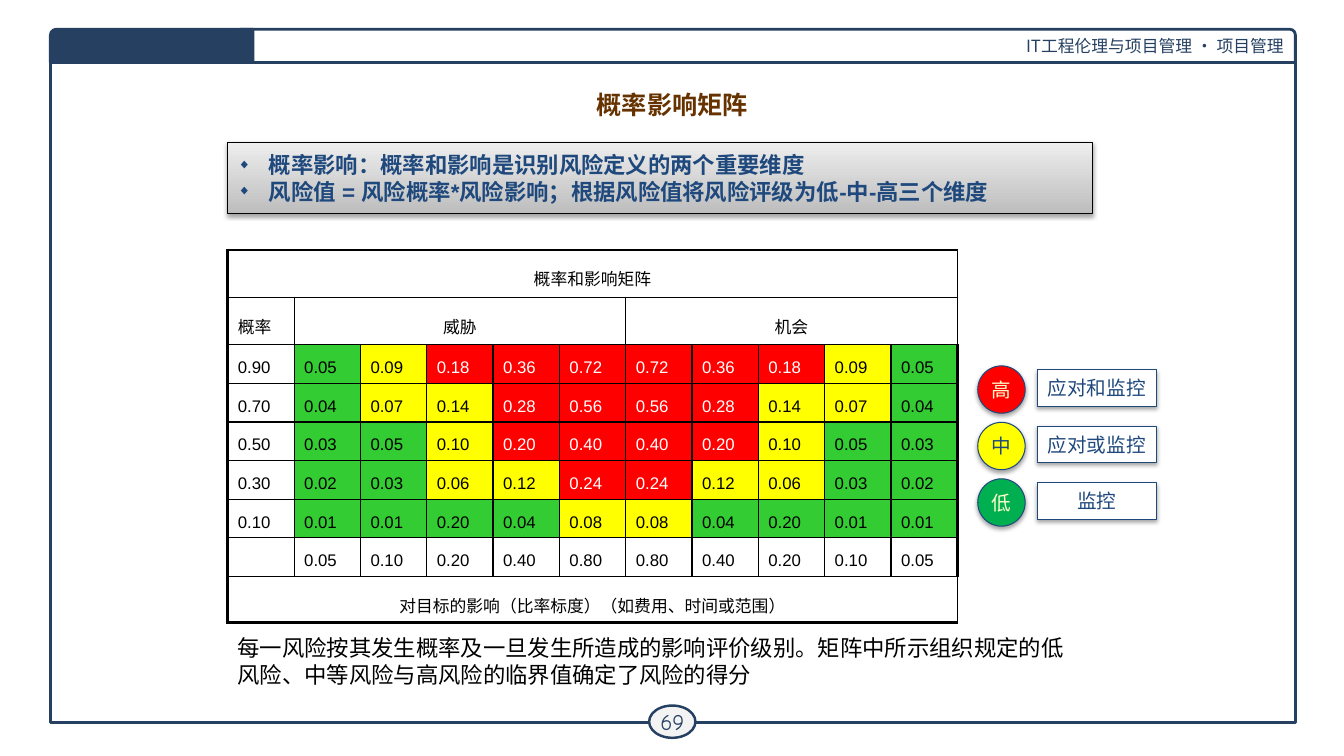
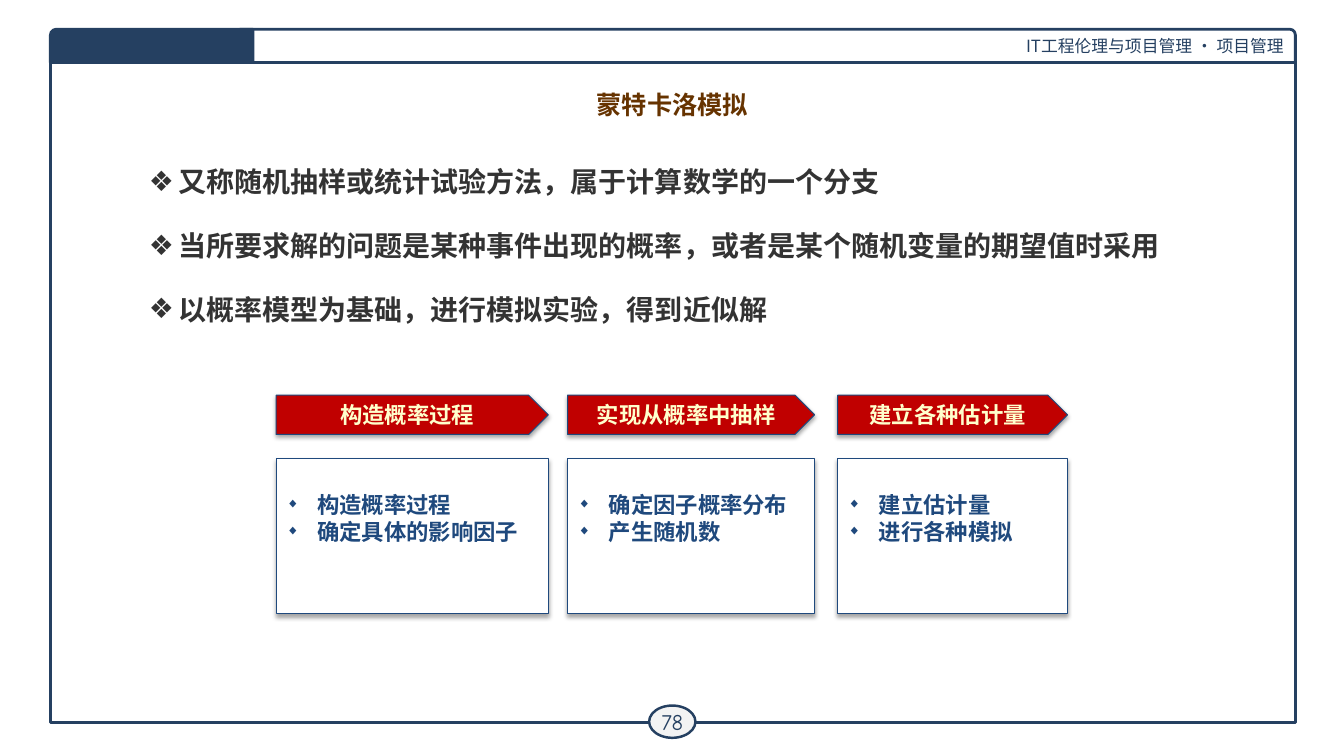
from dataclasses import dataclass, replace
from typing import Optional, Sequence

from lxml.etree import SubElement
from pptx import Presentation
from pptx.dml.color import RGBColor
from pptx.enum.lang import MSO_LANGUAGE_ID
from pptx.enum.shapes import MSO_SHAPE
from pptx.enum.text import MSO_ANCHOR, PP_ALIGN
from pptx.oxml.ns import qn
from pptx.shapes.autoshape import Shape
from pptx.slide import Slide
from pptx.table import _Cell
from pptx.text.text import TextFrame, _Paragraph
from pptx.util import Inches, Length, Pt

SLIDE_WIDTH, SLIDE_HEIGHT = Inches(13.333), Inches(7.5)


@dataclass(frozen=True)
class TextStyle:
    size: float
    color: str
    face: str = "Arial"
    east_asian_face: str = "Arial"
    bold: bool = False
    align: PP_ALIGN = PP_ALIGN.LEFT
    line_spacing: Optional[float] = None


@dataclass(frozen=True)
class Bullet:
    character: str
    indent: float
    size_percent: int = 100
    space_before: float = 0
    space_after: float = 0


@dataclass(frozen=True)
class Theme:
    navy: str = "254061"
    blue: str = "1F497D"
    black: str = "000000"
    white: str = "FFFFFF"
    cream: str = "FFFFCC"
    badge: str = "F3F3F3"
    banner: str = "C00000"
    callout_dark: str = "BDBDBD"
    callout_light: str = "EEEEEE"
    red: str = "FF0000"
    yellow: str = "FFFF00"
    legend_green: str = "00B050"
    cell_green: str = "33CC33"
    header: TextStyle = TextStyle(12, navy, "Noto Sans CJK SC", "Noto Sans CJK SC",
                                  align=PP_ALIGN.RIGHT)
    page: TextStyle = TextStyle(16, navy, "Comic Neue", "Comic Neue", align=PP_ALIGN.CENTER)
    title: TextStyle = TextStyle(18, "663300", "TeX Gyre Schola", "TeX Gyre Schola", True,
                                 PP_ALIGN.CENTER)
    body: TextStyle = TextStyle(20, "333333", "TeX Gyre Schola", "TeX Gyre Schola", True,
                                line_spacing=1.5)
    point: TextStyle = TextStyle(16, blue, bold=True)
    stage: TextStyle = TextStyle(16, cream, bold=True, align=PP_ALIGN.CENTER)
    legend: TextStyle = TextStyle(14, blue, align=PP_ALIGN.CENTER)
    note: TextStyle = TextStyle(16, black)
    cell: TextStyle = TextStyle(12, black, "Arial", "Noto Sans CJK SC", line_spacing=1.5)


THEME = Theme()
POINT_BULLET = Bullet("◆", 0.31, 60)
BODY_BULLET = Bullet("❖", 0.29, space_before=7.2, space_after=2.4)


@dataclass(frozen=True)
class Box:
    """A place in percent of the slide's width and height."""
    left: float
    top: float
    width: float
    height: float

    def lengths(self) -> tuple[Length, Length, Length, Length]:
        return (across(self.left), down(self.top), across(self.width), down(self.height))


@dataclass(frozen=True)
class LegendItem:
    level: str
    response: str
    fill: str
    color: str


@dataclass(frozen=True)
class Stage:
    left: float
    width: float
    heading: str
    points: tuple[str, ...]


LEGEND = (
    LegendItem("高", "应对和监控", THEME.red, THEME.cream),
    LegendItem("中", "应对或监控", THEME.yellow, THEME.blue),
    LegendItem("低", "监控", THEME.legend_green, THEME.cream),
)
STAGES = (
    Stage(20.55, 20.25, "构造概率过程", ("构造概率过程", "确定具体的影响因子")),
    Stage(42.23, 18.38, "实现从概率中抽样", ("确定因子概率分布", "产生随机数")),
    Stage(62.33, 17.1, "建立各种估计量", ("建立估计量", "进行各种模拟")),
)
IMPACTS = ("0.05", "0.10", "0.20", "0.40", "0.80")
THREAT_SCORES = {
    "0.90": ("0.05", "0.09", "0.18", "0.36", "0.72"),
    "0.70": ("0.04", "0.07", "0.14", "0.28", "0.56"),
    "0.50": ("0.03", "0.05", "0.10", "0.20", "0.40"),
    "0.30": ("0.02", "0.03", "0.06", "0.12", "0.24"),
    "0.10": ("0.01", "0.01", "0.20", "0.04", "0.08"),
}
ROW_HEIGHTS = (6.27, 6.27) + (5.07,) * 6 + (6.13,)
COLUMN_COUNT = 1 + 2 * len(IMPACTS)


def across(percent: float) -> Length:
    return Length(round(SLIDE_WIDTH * percent / 100))


def down(percent: float) -> Length:
    return Length(round(SLIDE_HEIGHT * percent / 100))


def rgb(color: str) -> RGBColor:
    return RGBColor.from_string(color)


def mirrored(values: Sequence[str]) -> list[str]:
    """Threat columns followed by opportunity columns in reverse order."""
    return [*values, *reversed(values)]


def add_bullet(paragraph: _Paragraph, bullet: Bullet) -> None:
    properties = paragraph._p.get_or_add_pPr()
    properties.set("marL", str(Inches(bullet.indent)))
    properties.set("indent", str(-Inches(bullet.indent)))
    SubElement(properties, qn("a:buSzPct")).set("val", str(bullet.size_percent * 1000))
    SubElement(properties, qn("a:buFont")).set("typeface", "Arial")
    SubElement(properties, qn("a:buChar")).set("char", bullet.character)


def write_text(frame: TextFrame, texts: Sequence[str], style: TextStyle,
               bullet: Optional[Bullet] = None) -> None:
    frame.word_wrap = True
    for index, text in enumerate(texts):
        paragraph = frame.add_paragraph() if index else frame.paragraphs[0]
        paragraph.alignment = style.align
        if style.line_spacing:
            paragraph.line_spacing = style.line_spacing
        if bullet:
            if index:
                paragraph.space_before = Pt(bullet.space_before)
            paragraph.space_after = Pt(bullet.space_after)
            add_bullet(paragraph, bullet)
        run = paragraph.add_run()
        run.text = text
        font = run.font
        font.size, font.bold, font.name = Pt(style.size), style.bold, style.face
        font.color.rgb = rgb(style.color)
        font.language_id = MSO_LANGUAGE_ID.SIMPLIFIED_CHINESE
        SubElement(font._element, qn("a:ea")).set("typeface", style.east_asian_face)


def add_text(slide: Slide, box: Box, texts: Sequence[str], style: TextStyle,
             bullet: Optional[Bullet] = None) -> None:
    write_text(slide.shapes.add_textbox(*box.lengths()).text_frame, texts, style, bullet)


def add_panel(slide: Slide, kind: MSO_SHAPE, box: Box, fill: Optional[str], line: str,
              line_width: float) -> Shape:
    shape = slide.shapes.add_shape(kind, *box.lengths())
    shape.shadow.inherit = False
    if fill:
        shape.fill.solid()
        shape.fill.fore_color.rgb = rgb(fill)
    else:
        shape.fill.background()
    shape.line.color.rgb = rgb(line)
    shape.line.width = Pt(line_width)
    shape.text_frame.vertical_anchor = MSO_ANCHOR.MIDDLE
    return shape


def add_raised(slide: Slide, kind: MSO_SHAPE, box: Box, fill: str,
               line: str = THEME.blue) -> Shape:
    """Add a panel with a thin outline and a soft shadow below it."""
    shape = add_panel(slide, kind, box, fill, line, 0.75)
    effects = shape._element.spPr.find(qn("a:effectLst"))
    shadow = SubElement(effects, qn("a:outerShdw"), blurRad=str(Pt(3.1)), dist=str(Pt(1.8)),
                        dir="5400000", rotWithShape="0")
    color = SubElement(shadow, qn("a:srgbClr"), val=THEME.black)
    SubElement(color, qn("a:alpha"), val="35000")
    return shape


def set_margins(target: TextFrame | _Cell, horizontal: Length, vertical: Length) -> None:
    target.margin_left = target.margin_right = horizontal
    target.margin_top = target.margin_bottom = vertical


def add_page(presentation: Presentation, title: str, number: int) -> Slide:
    """Add a slide with the common frame, header, page badge and title."""
    slide = presentation.slides.add_slide(presentation.slide_layouts[6])
    add_panel(slide, MSO_SHAPE.RECTANGLE, Box(3.75, 6.67, 92.63, 88.93), None, THEME.navy, 2)
    header = add_panel(slide, MSO_SHAPE.ROUND_1_RECTANGLE, Box(17.85, 3.87, 78.53, 4.4),
                       THEME.white, THEME.navy, 2)
    write_text(header.text_frame, ["IT工程伦理与项目管理 · 项目管理"], THEME.header)
    badge = add_panel(slide, MSO_SHAPE.OVAL, Box(48.3, 93.33, 3.45, 4.27),
                      THEME.badge, THEME.navy, 1.75)
    set_margins(badge.text_frame, Inches(0.04), Inches(0.04))
    write_text(badge.text_frame, [str(number)], THEME.page)
    badge.text_frame.word_wrap = False
    corner = add_panel(slide, MSO_SHAPE.ROUND_1_RECTANGLE, Box(3.75, 3.87, 15.08, 4.4),
                       THEME.navy, THEME.navy, 2)
    corner.adjustments[0] = 0.18
    corner._element.spPr.find(qn("a:xfrm")).set("flipH", "1")
    add_text(slide, Box(16.28, 11.2, 67.5, 6.4), [title], THEME.title)
    return slide


def risk_colors(score: float) -> tuple[str, str]:
    """Return the fill and text colour for probability times impact."""
    if score > 0.17:
        return THEME.red, THEME.white
    return (THEME.yellow if score > 0.055 else THEME.cell_green), THEME.black


def set_borders(cell: _Cell, row: int, column: int) -> None:
    outer = {"a:lnL": column == 0, "a:lnR": column == COLUMN_COUNT - 1,
             "a:lnT": row == 0, "a:lnB": row == len(ROW_HEIGHTS) - 1}
    properties = cell._tc.get_or_add_tcPr()
    for position, (tag, is_outer) in enumerate(outer.items()):
        border = SubElement(properties, qn(tag), w=str(Pt(2.25 if is_outer else 1)))
        SubElement(SubElement(border, qn("a:solidFill")), qn("a:srgbClr"), val=THEME.black)
        properties.insert(position, border)


def add_risk_matrix(slide: Slide) -> None:
    box = Box(16.95, 33.07, 54.3, sum(ROW_HEIGHTS))
    table = slide.shapes.add_table(len(ROW_HEIGHTS), COLUMN_COUNT, *box.lengths()).table
    table.first_row = table.horz_banding = False
    for row, height in zip(table.rows, ROW_HEIGHTS):
        row.height = down(height)
    half, last = len(IMPACTS), COLUMN_COUNT - 1
    impacts = mirrored(IMPACTS)
    contents = [["概率和影响矩阵"] + [""] * last,
                ["概率", "威胁"] + [""] * (half - 1) + ["机会"] + [""] * (half - 1)]
    contents += [[chance, *mirrored(scores)] for chance, scores in THREAT_SCORES.items()]
    contents += [["", *impacts], ["对目标的影响（比率标度）（如费用、时间或范围）"] + [""] * last]
    spans = {(0, 0): last, (1, 1): half, (1, 1 + half): last, (8, 0): last}
    for (row, column), end in spans.items():
        table.cell(row, column).merge(table.cell(row, end))
    for row, texts in enumerate(contents):
        for column, text in enumerate(texts):
            cell = table.cell(row, column)
            set_margins(cell, Inches(0.1), Pt(3))
            style = THEME.cell
            if (row, column) in spans:
                style = replace(style, align=PP_ALIGN.CENTER)
            if texts[0] in THREAT_SCORES and column:
                fill, color = risk_colors(float(texts[0]) * float(impacts[column - 1]))
                style = replace(style, color=color)
                cell.fill.solid()
                cell.fill.fore_color.rgb = rgb(fill)
            else:
                cell.fill.background()
            set_borders(cell, row, column)
            if not cell.is_spanned:
                write_text(cell.text_frame, [text], style)


def add_legend(slide: Slide) -> None:
    for index, item in enumerate(LEGEND):
        top = 48.4 + 7.47 * index
        circle = add_raised(slide, MSO_SHAPE.OVAL, Box(72.75, top, 3.53, 6.27), item.fill)
        set_margins(circle.text_frame, 0, 0)
        write_text(circle.text_frame, [item.level], replace(THEME.legend, color=item.color))
        label = add_raised(slide, MSO_SHAPE.RECTANGLE, Box(77.18, top + 0.53, 8.85, 4.8),
                           THEME.white)
        write_text(label.text_frame, [item.response], THEME.legend)


def add_matrix_slide(presentation: Presentation) -> None:
    slide = add_page(presentation, "概率影响矩阵", 69)
    callout = add_raised(slide, MSO_SHAPE.RECTANGLE, Box(16.95, 18.8, 64.35, 9.47),
                         THEME.callout_light, THEME.black)
    callout.fill.gradient()
    callout.fill.gradient_angle = 90
    for stop, color in zip(callout.fill.gradient_stops, (THEME.callout_dark, THEME.callout_light)):
        stop.color.rgb = rgb(color)
    write_text(callout.text_frame, ["概率影响：概率和影响是识别风险定义的两个重要维度",
                                    "风险值 = 风险概率*风险影响；根据风险值将风险评级为低-中-高三个维度"],
               THEME.point, POINT_BULLET)
    add_legend(slide)
    add_risk_matrix(slide)
    add_text(slide, Box(16.95, 83.2, 63.45, 8.53),
             ["每一风险按其发生概率及一旦发生所造成的影响评价级别。矩阵中所示组织规定的低"
              "风险、中等风险与高风险的临界值确定了风险的得分"], THEME.note)


def add_simulation_slide(presentation: Presentation) -> None:
    slide = add_page(presentation, "蒙特卡洛模拟", 78)
    add_text(slide, Box(10.35, 18.93, 77.4, 18.53),
             ["又称随机抽样或统计试验方法，属于计算数学的一个分支",
              "当所要求解的问题是某种事件出现的概率，或者是某个随机变量的期望值时采用",
              "以概率模型为基础，进行模拟实验，得到近似解"], THEME.body, BODY_BULLET)
    for stage in STAGES:
        banner = add_raised(slide, MSO_SHAPE.PENTAGON, Box(stage.left, 52.27, stage.width, 5.2),
                            THEME.banner)
        write_text(banner.text_frame, [stage.heading], THEME.stage)
        card = add_raised(slide, MSO_SHAPE.RECTANGLE, Box(stage.left, 60.67, stage.width, 20.53),
                          THEME.white)
        card.text_frame.vertical_anchor = MSO_ANCHOR.TOP
        card.text_frame.margin_top = Inches(0.32)
        write_text(card.text_frame, stage.points, THEME.point, POINT_BULLET)


def main() -> None:
    presentation = Presentation()
    presentation.slide_width, presentation.slide_height = SLIDE_WIDTH, SLIDE_HEIGHT
    add_matrix_slide(presentation)
    add_simulation_slide(presentation)
    presentation.save("out.pptx")


if __name__ == "__main__":
    main()
